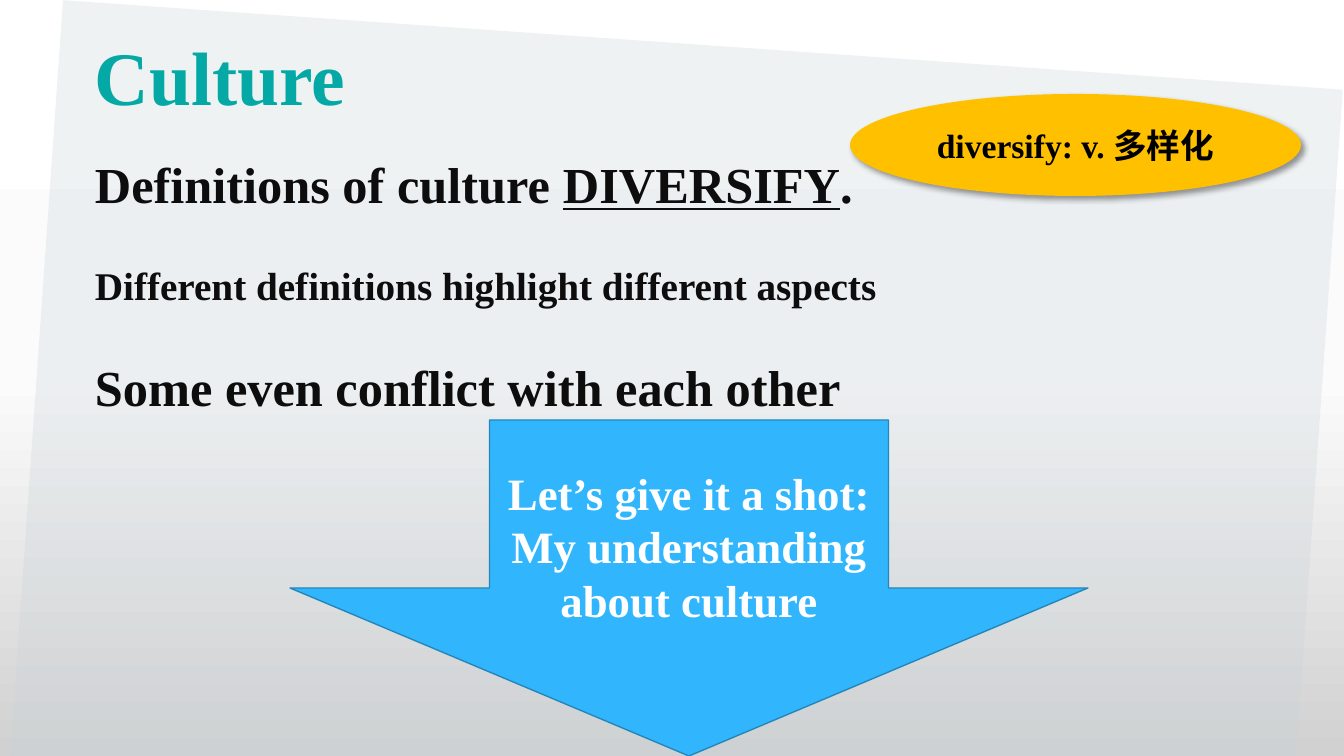
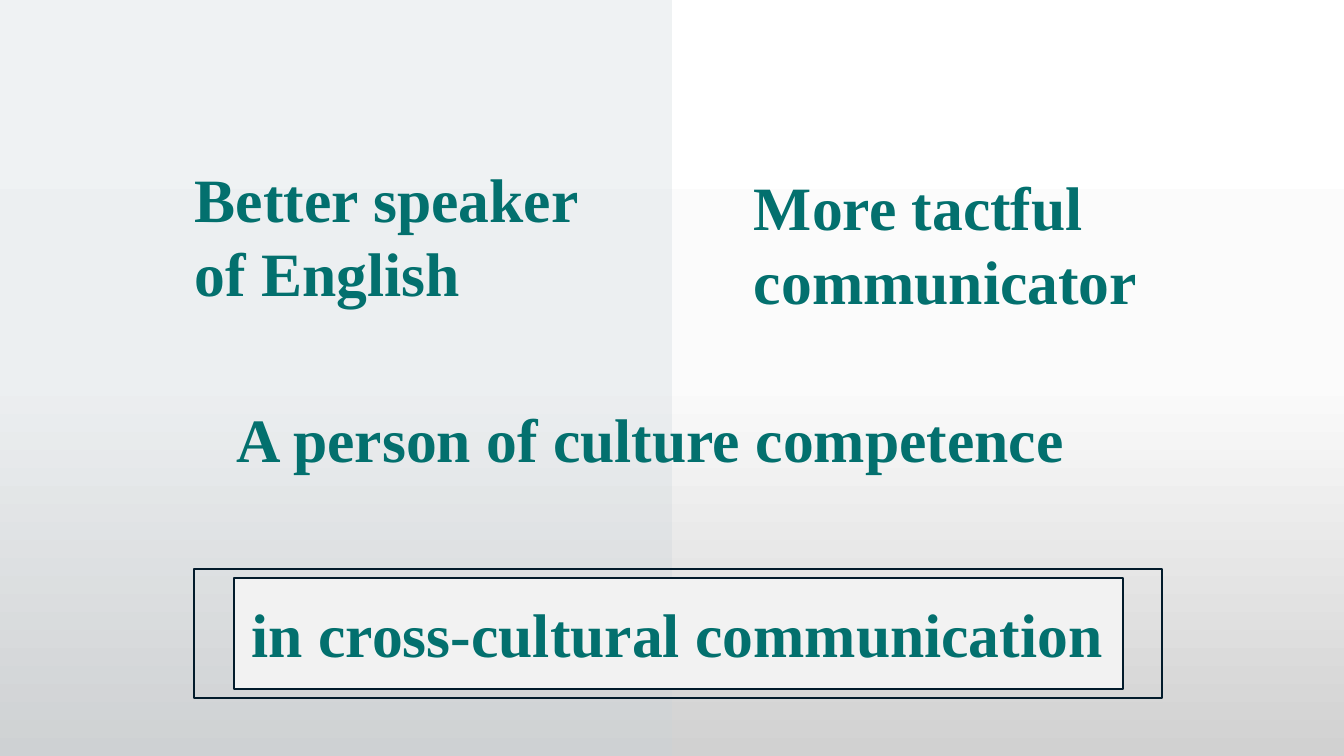
from dataclasses import dataclass

from lxml import etree
from pptx import Presentation, util as u
from pptx.dml.color import RGBColor
from pptx.enum import shapes as es, text as et
from pptx.oxml.ns import qn

# Shared style
SCALE = 12192000 / 1344
FONT = "Times New Roman"
TITLE, DEEP, INK = "04A8A4", "03706E", "0D0D0D"
PANEL, EDGE = "CAD3D9", "021B2B"
STOPS = ((0, "FFFFFF"), (50, "FBFBFB"), (100, "D1D1D1"))
RECT = es.MSO_SHAPE.RECTANGLE


@dataclass
class Box:
    left: int
    top: int
    width: int
    height: int


@dataclass
class Para:
    text: str
    size: int
    gap: int = 0
    mark: str = ""  # underlined word


def px(n: int) -> int:
    return round(n * SCALE)


def area(box: Box) -> tuple:
    return px(box.left), px(box.top), px(box.width), px(box.height)


def color(code: str) -> RGBColor:
    return RGBColor.from_string(code)


def node(parent, tag: str, **attrs):
    return etree.SubElement(parent, qn(tag), {k: str(v) for k, v in attrs.items()})


def write(shape, paras: list, tint: str, align=et.PP_ALIGN.LEFT,
          anchor=et.MSO_ANCHOR.TOP) -> None:
    frame = shape.text_frame
    frame.word_wrap = True
    frame.vertical_anchor = anchor
    for i, item in enumerate(paras):
        para = frame.paragraphs[0] if i == 0 else frame.add_paragraph()
        para.alignment = align
        if item.gap:
            para.space_before = u.Pt(item.gap)
        font = para.font
        font.name, font.size, font.bold = FONT, u.Pt(item.size), True
        font.color.rgb = color(tint)
        if not item.mark:
            para.add_run().text = item.text
            continue
        head, tail = item.text.split(item.mark)
        for part in (head, item.mark, tail):
            run = para.add_run()
            run.text = part
            if part == item.mark:
                run.font.underline = True


def label(pool, box: Box, paras: list, tint: str = DEEP) -> None:
    write(pool.add_textbox(*area(box)), paras, tint)


def block(pool, kind, box: Box, fill: str = "", line: str = ""):
    shape = pool.add_shape(kind, *area(box))
    shape.shadow.inherit = False
    if fill:
        shape.fill.solid()
        shape.fill.fore_color.rgb = color(fill)
    else:
        shape.fill.background()
    if line:
        shape.line.color.rgb = color(line)
        shape.line.width = u.Pt(1)
    else:
        shape.line.fill.background()
    return shape


def callout(pool, kind, box: Box, paras: list, tint: str, fill: str, line: str = ""):
    shape = block(pool, kind, box, fill, line)
    write(shape, paras, tint, et.PP_ALIGN.CENTER, et.MSO_ANCHOR.MIDDLE)
    return shape


def shade(shape) -> None:
    effects = shape.element.spPr.find(qn("a:effectLst"))
    drop = node(effects, "a:outerShdw", blurRad=u.Pt(4), dist=u.Pt(3),
                dir=45 * 60000, algn="tl", rotWithShape=0)
    node(node(drop, "a:srgbClr", val="000000"), "a:alpha", val=40000)


def page(deck, box: Box, turn: int = 0):
    """Blank slide with the gradient background and a translucent panel."""
    slide = deck.slides.add_slide(deck.slide_layouts[6])
    fill = slide.background.fill
    fill.gradient()
    fill.gradient_angle = 270
    stops = next(slide.element.iter(qn("a:gsLst")))
    for old in list(stops):
        stops.remove(old)
    for spot, code in STOPS:
        node(node(stops, "a:gs", pos=spot * 1000), "a:srgbClr", val=code)
    panel = block(slide.shapes, RECT, box, PANEL)
    panel.rotation = turn
    tone = next(panel.element.spPr.iter(qn("a:srgbClr")))
    node(tone, "a:alpha", val=29000)
    return slide.shapes


def culture(deck) -> None:
    pool = page(deck, Box(35, 44, 1283, 759), 4)
    label(pool, Box(85, 25, 850, 102), [Para("Culture", 54)], TITLE)
    label(pool, Box(85, 148, 1225, 370), [
        Para("Definitions of culture DIVERSIFY.", 36, mark="DIVERSIFY"),
        Para("Different definitions highlight different aspects", 28, 34),
        Para("Some even conflict with each other", 36, 34),
    ], INK)
    word = callout(pool, es.MSO_SHAPE.OVAL, Box(850, 94, 451, 102),
                   [Para("diversify: v. 多样化", 24)], "000000", "FFC000")
    shade(word)
    callout(pool, es.MSO_SHAPE.DOWN_ARROW, Box(290, 420, 798, 336), [
        Para("Let’s give it a shot:", 32),
        Para("My understanding about culture", 32),
    ], "FFFFFF", "31B6FD", "2487BB")


def goals(deck) -> None:
    pool = page(deck, Box(0, 0, 672, 756))
    label(pool, Box(185, 156, 473, 159),
          [Para("Better speaker", 44), Para("of English", 44)])
    label(pool, Box(744, 164, 473, 159), [Para("More tactful communicator", 44)])
    # Framed phrase
    group = pool.add_group_shape().shapes
    block(group, RECT, Box(194, 569, 968, 129), line=EDGE)
    block(group, RECT, Box(234, 578, 889, 111), "F2F2F2", EDGE)
    label(group, Box(242, 591, 904, 85), [Para("in cross-cultural communication", 44)])
    label(pool, Box(227, 396, 881, 85), [Para("A person of culture competence", 44)])


def main() -> None:
    deck = Presentation()
    deck.slide_width, deck.slide_height = px(1344), px(756)
    culture(deck)
    goals(deck)
    deck.save("out.pptx")


if __name__ == "__main__":
    main()
